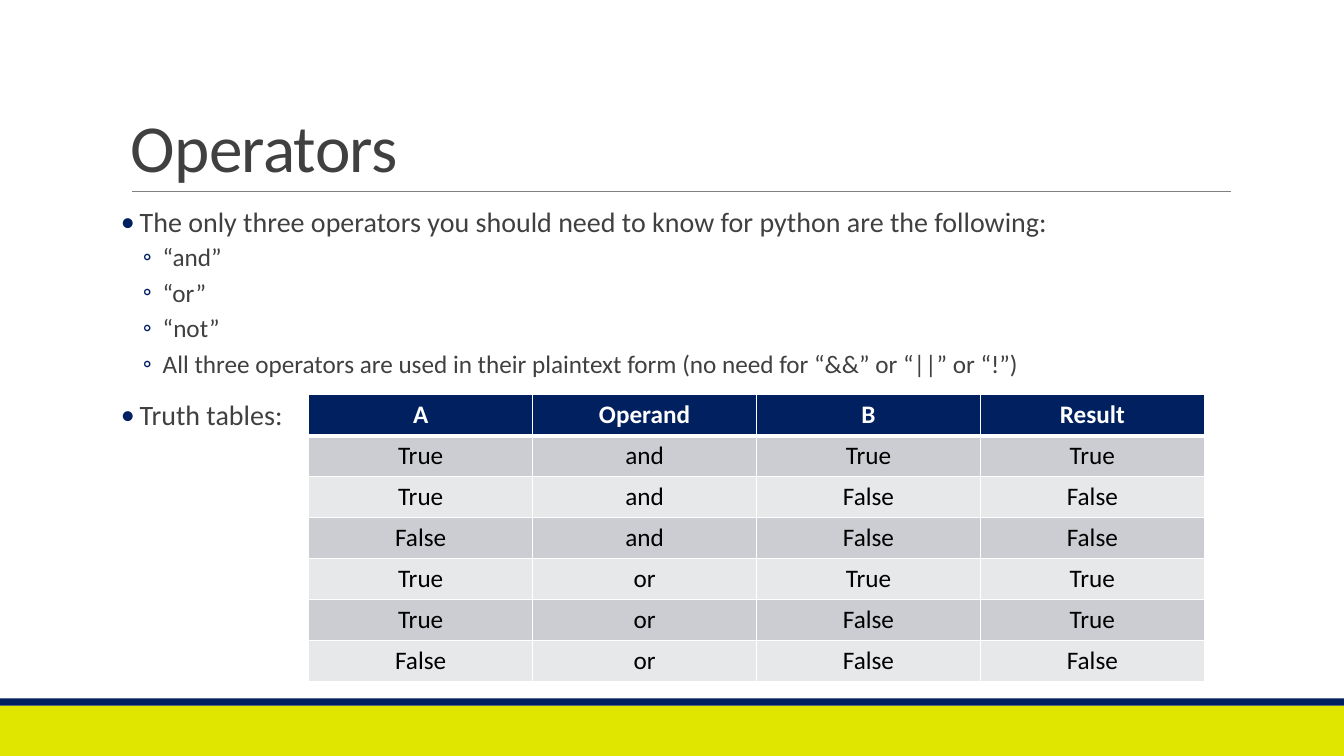
from lxml.etree import SubElement
from pptx import Presentation
from pptx.dml.color import RGBColor
from pptx.enum.shapes import MSO_CONNECTOR, MSO_SHAPE
from pptx.enum.text import MSO_ANCHOR, MSO_AUTO_SIZE, PP_ALIGN
from pptx.oxml.ns import qn
from pptx.util import Pt

PX = 9525  # 1280 x 720 px
FONT = "Calibri"
COLORS = {"navy": "002060", "lime": "E1E600", "rule": "808080", "text": "404040",
          "white": "FFFFFF", "black": "000000", "dark": "CCCDD2", "light": "E7E8EA"}
POINTS = [
    (0, "The only three operators you should need to know for python are the following:"),
    (1, "“and”"),
    (1, "“or”"),
    (1, "“not”"),
    (1, "All three operators are used in their plaintext form (no need for “&&” or “||” or “!”)"),
    (0, "Truth tables:"),
]
# Per level: bullet, size, left margin, hanging indent, space before, space after
LEVELS = [("•", 20, 18, 18, 12, 2), ("◦", 18, 40, 19, 2, 4)]
TRUTH = [
    ("A", "Operand", "B", "Result"),
    ("True", "and", "True", "True"),
    ("True", "and", "False", "False"),
    ("False", "and", "False", "False"),
    ("True", "or", "True", "True"),
    ("True", "or", "False", "True"),
    ("False", "or", "False", "False"),
]


def color(name):
    return RGBColor.from_string(COLORS[name])


def place(shape, box):
    shape.left, shape.top, shape.width, shape.height = (n * PX for n in box)


def style(par, size, ink, bold=False):
    for run in par.runs:
        font = run.font
        font.name, font.size, font.bold = FONT, Pt(size), bold
        font.color.rgb = color(ink)


def add_bar(slide, box, fill):
    bar = slide.shapes.add_shape(MSO_SHAPE.RECTANGLE, *(n * PX for n in box))
    bar.shadow.inherit = False
    bar.fill.solid()
    bar.fill.fore_color.rgb = color(fill)
    bar.line.fill.background()


def add_footer(slide, box):
    left, top, width, height = box
    edge = 7
    add_bar(slide, (left, top + edge, width, height - edge), "lime")
    add_bar(slide, (left, top, width, edge), "navy")


def add_title(slide, box):
    left, top, width, height = box
    title = slide.shapes.title
    place(title, box)
    frame = title.text_frame
    frame.text = "Operators"
    frame.auto_size = MSO_AUTO_SIZE.NONE
    frame.vertical_anchor = MSO_ANCHOR.BOTTOM
    par = frame.paragraphs[0]
    par.alignment = PP_ALIGN.LEFT
    par.line_spacing = 0.85
    style(par, 48, "text")
    par.runs[0].font._element.set("spc", "-50")

    # Rule under the title
    base = (top + height) * PX
    rule = slide.shapes.add_connector(
        MSO_CONNECTOR.STRAIGHT, (left + 11) * PX, base, (left + width + 1) * PX, base)
    rule.line.color.rgb = color("rule")
    rule.line.width = Pt(0.5)
    SubElement(rule._element.spPr, qn("a:effectLst"))


def set_bullet(par, char, margin, hang):
    props = par._p.get_or_add_pPr()
    props.set("marL", str(margin * PX))
    props.set("indent", str(-hang * PX))
    tint = SubElement(props, qn("a:buClr"))
    SubElement(tint, qn("a:srgbClr"), val=COLORS["navy"])
    SubElement(props, qn("a:buFont"), typeface=FONT)
    SubElement(props, qn("a:buChar"), char=char)


def add_list(slide, box):
    body = slide.placeholders[1]
    place(body, box)
    frame = body.text_frame
    frame.text = "\n".join(text for _, text in POINTS)
    frame.auto_size = MSO_AUTO_SIZE.NONE
    frame.margin_left = frame.margin_right = 0
    for i, (par, (level, _)) in enumerate(zip(frame.paragraphs, POINTS)):
        char, size, margin, hang, before, after = LEVELS[level]
        par.level = level
        set_bullet(par, char, margin, hang)
        par.line_spacing = 0.9
        par.space_before = Pt(before if i else 0)
        par.space_after = Pt(after)
        style(par, size, "text")


def set_edges(cell, row):
    props = cell._tc.get_or_add_tcPr()
    thick = {0: "lnB", 1: "lnT"}.get(row)  # heavier line under the header
    for side in ("lnL", "lnR", "lnT", "lnB"):
        width = Pt(3 if side == thick else 1)
        line = SubElement(props, qn(f"a:{side}"), w=str(width))
        fill = SubElement(line, qn("a:solidFill"))
        SubElement(fill, qn("a:srgbClr"), val=COLORS["white"])


def add_truth(slide, box):
    rows, cols = len(TRUTH), len(TRUTH[0])
    table = slide.shapes.add_table(rows, cols, *(n * PX for n in box)).table
    for r, words in enumerate(TRUTH):
        head = r == 0
        shade = "navy" if head else "dark" if r % 2 else "light"
        for c, word in enumerate(words):
            cell = table.cell(r, c)
            set_edges(cell, r)
            cell.fill.solid()
            cell.fill.fore_color.rgb = color(shade)
            cell.text_frame.text = word
            par = cell.text_frame.paragraphs[0]
            par.alignment = PP_ALIGN.CENTER
            style(par, 18, "white" if head else "black", head)


def main():
    deck = Presentation()
    deck.slide_width, deck.slide_height = 1280 * PX, 720 * PX
    slide = deck.slides.add_slide(deck.slide_layouts[1])
    add_footer(slide, (0, 665, 1280, 55))
    add_title(slide, (115, 30, 1056, 152))
    add_list(slide, (115, 194, 1056, 422))
    add_truth(slide, (294, 376, 853, 273))
    deck.save("out.pptx")


if __name__ == "__main__":
    main()
